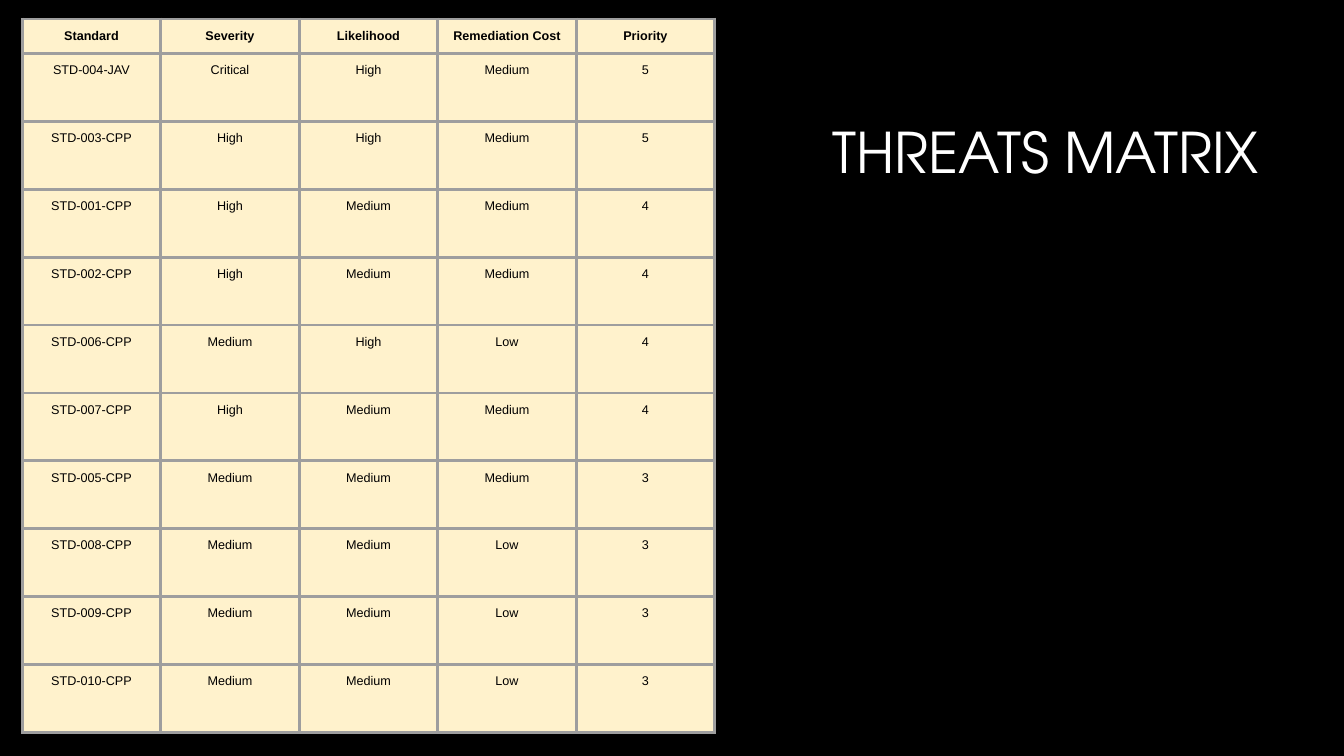
import pptx
import pptx.dml.color
import pptx.enum.text
import pptx.oxml
import pptx.oxml.ns
import pptx.util
from pptx.util import Cm

THREATS = [
    ("Standard", "Severity", "Likelihood", "Remediation Cost", "Priority"),
    ("STD-004-JAV", "Critical", "High", "Medium", "5"),
    ("STD-003-CPP", "High", "High", "Medium", "5"),
    ("STD-001-CPP", "High", "Medium", "Medium", "4"),
    ("STD-002-CPP", "High", "Medium", "Medium", "4"),
    ("STD-006-CPP", "Medium", "High", "Low", "4"),
    ("STD-007-CPP", "High", "Medium", "Medium", "4"),
    ("STD-005-CPP", "Medium", "Medium", "Medium", "3"),
    ("STD-008-CPP", "Medium", "Medium", "Low", "3"),
    ("STD-009-CPP", "Medium", "Medium", "Low", "3"),
    ("STD-010-CPP", "Medium", "Medium", "Low", "3"),
]
COLUMN_WIDTH = Cm(3.49)
HEADER_HEIGHT = Cm(0.87)
ROW_HEIGHT = Cm(1.71)
CELL_MARGIN = Cm(0.25)


def color(hex_string):
    return pptx.dml.color.RGBColor.from_string(hex_string)


def format_paragraph(paragraph, alignment, font_name, size, hex_string, bold=False):
    paragraph.alignment = alignment
    for run in paragraph.runs:
        run.font.name = font_name
        run.font.size = pptx.util.Pt(size)
        run.font.bold = bold
        run.font.color.rgb = color(hex_string)


def set_borders(cell, hex_string, width):
    properties = cell._tc.get_or_add_tcPr()
    for side in ("lnL", "lnR", "lnT", "lnB"):
        properties.append(pptx.oxml.parse_xml(
            f'<a:{side} {pptx.oxml.ns.nsdecls("a")} w="{pptx.util.Pt(width)}">'
            f'<a:solidFill><a:srgbClr val="{hex_string}"/></a:solidFill></a:{side}>'))


def add_title(slide, text):
    title = slide.shapes.title
    title.left, title.top, title.width, title.height = Cm(8.05), Cm(2.13), Cm(23.93), Cm(3.58)
    text_frame = title.text_frame
    text_frame.text = text
    text_frame.word_wrap = True
    text_frame.vertical_anchor = pptx.enum.text.MSO_ANCHOR.MIDDLE
    paragraph = text_frame.paragraphs[0]
    paragraph.line_spacing = 0.9
    format_paragraph(paragraph, pptx.enum.text.PP_ALIGN.RIGHT, "TeX Gyre Adventor", 40, "FFFFFF")


def fill_cell(cell, text, bold):
    set_borders(cell, "9E9E9E", 2.25)
    cell.fill.solid()
    cell.fill.fore_color.rgb = color("FFF2CC")
    cell.margin_left = cell.margin_right = CELL_MARGIN
    cell.margin_top = cell.margin_bottom = CELL_MARGIN
    cell.text_frame.text = text
    format_paragraph(cell.text_frame.paragraphs[0], pptx.enum.text.PP_ALIGN.CENTER,
                     "Arial", 9, "000000", bold)


def add_threat_table(slide, rows):
    column_count = len(rows[0])
    height = HEADER_HEIGHT + ROW_HEIGHT * (len(rows) - 1)
    table = slide.shapes.add_table(len(rows), column_count, Cm(0.56), Cm(0.48),
                                   COLUMN_WIDTH * column_count, height).table
    table.horz_banding = False
    for column in table.columns:
        column.width = COLUMN_WIDTH
    for row_index, values in enumerate(rows):
        is_header = row_index == 0
        table.rows[row_index].height = HEADER_HEIGHT if is_header else ROW_HEIGHT
        for column_index, value in enumerate(values):
            fill_cell(table.cell(row_index, column_index), value, is_header)


def main():
    presentation = pptx.Presentation()
    presentation.slide_width = Cm(33.87)
    presentation.slide_height = Cm(19.05)

    # Black title-only slide
    slide = presentation.slides.add_slide(presentation.slide_layouts[5])
    slide.background.fill.solid()
    slide.background.fill.fore_color.rgb = color("000000")

    # Title on the right, threat table on the left
    add_title(slide, "THREATS MATRIX")
    add_threat_table(slide, THREATS)

    presentation.save("out.pptx")


if __name__ == "__main__":
    main()
